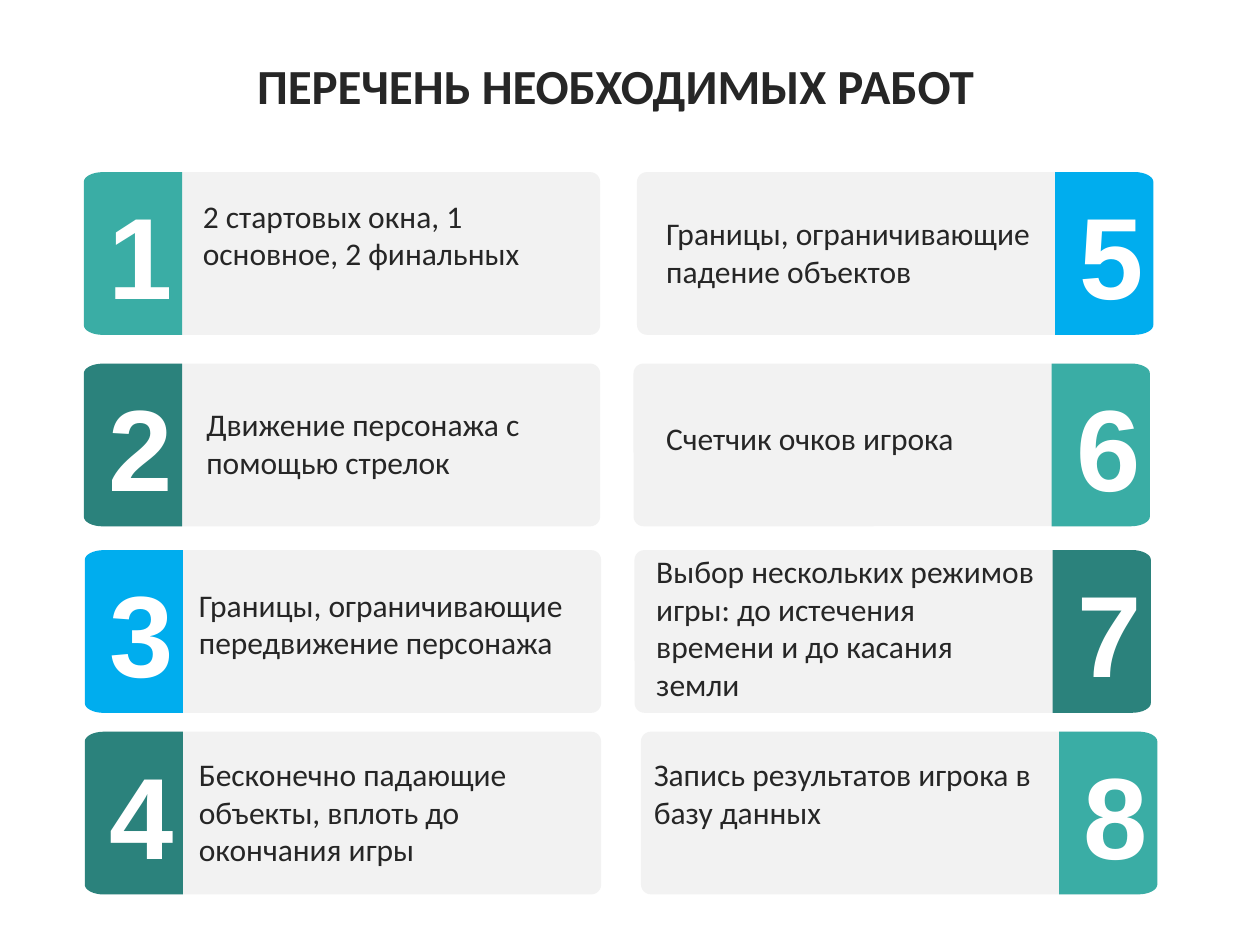
from dataclasses import dataclass
from math import cos, pi, sin

from lxml import etree
from pptx import Presentation
from pptx import util as u
from pptx.dml.color import RGBColor
from pptx.enum import shapes, text
from pptx.oxml import ns


@dataclass(frozen=True)
class Theme:
    teal: str = "3AADA5"
    dark_teal: str = "2B827C"
    blue: str = "00ADEE"
    card: str = "F2F2F2"
    ink: str = "262626"
    white: str = "FFFFFF"
    body_font: str = "Calibri"
    digit_font: str = "Arial"
    title_size: int = 28
    body_size: int = 18
    digit_size: int = 66


@dataclass(frozen=True)
class Task:
    """One numbered work item; lengths in centimetres."""
    number: int
    wording: str
    color: str
    tab_left: float
    wording_box: tuple[float, float, float, float]

    @property
    def on_left(self) -> bool:
        return self.number <= len(ROW_TOPS)

    @property
    def top(self) -> float:
        return ROW_TOPS[(self.number - 1) % len(ROW_TOPS)]


THEME = Theme()
ROW_TOPS = (3.47, 7.33, 11.09, 14.75)
ROW_HEIGHT, CARD_WIDTH, TAB_WIDTH = 3.28, 10.21, 1.98
CORNER_ACROSS, CORNER_ALONG = 0.2, 0.38

TASKS = (
    Task(1, "2 стартовых окна, 1 основное, 2 финальных", THEME.teal, 1.69, (3.84, 3.84, 7.9, 1.8)),
    Task(2, "Движение персонажа с помощью стрелок", THEME.dark_teal, 1.69, (3.91, 8.05, 7.9, 1.8)),
    Task(3, "Границы, ограничивающие передвижение персонажа", THEME.blue, 1.71,
         (3.76, 11.68, 7.9, 1.8)),
    Task(4, "Бесконечно падающие объекты, вплоть до окончания игры", THEME.dark_teal, 1.71,
         (3.76, 15.09, 7.9, 2.57)),
    Task(5, "Границы, ограничивающие падение объектов", THEME.blue, 21.27,
         (13.18, 4.19, 8.13, 1.8)),
    Task(6, "Счетчик очков игрока", THEME.teal, 21.2, (13.18, 8.33, 8.84, 1.02)),
    Task(7, "Выбор нескольких режимов игры: до истечения времени и до касания земли",
         THEME.dark_teal, 21.22, (12.98, 11, 8.13, 3.33)),
    Task(8, "Запись результатов игрока в базу данных", THEME.teal, 21.35,
         (12.93, 15.09, 8.38, 2.57)),
)


def paint(shape, color: str) -> None:
    shape.fill.solid()
    shape.fill.fore_color.rgb = RGBColor.from_string(color)
    shape.line.fill.background()
    shape.shadow.inherit = False


def add_wording(slide, wording: str, box: tuple[float, float, float, float], size: int,
                font: str, color: str, bold: bool = False, centered: bool = False):
    label = slide.shapes.add_textbox(*map(u.Cm, box))
    frame = label.text_frame
    frame.text = wording
    frame.word_wrap = True
    paragraph = frame.paragraphs[0]
    if centered:
        frame.vertical_anchor = text.MSO_ANCHOR.MIDDLE
        paragraph.alignment = text.PP_ALIGN.CENTER
    style = paragraph.runs[0].font
    style.size, style.name, style.bold = u.Pt(size), font, bold
    style.color.rgb = RGBColor.from_string(color)
    return frame


def turned_origin(left: float, top: float, width: float) -> tuple[float, float]:
    """Top left of an upright shape that covers the given area after a quarter turn."""
    shift = (width - ROW_HEIGHT) / 2
    return left + shift, top - shift


def add_card(slide, task: Task, turn: int) -> None:
    left = task.tab_left + (0.2 if task.on_left else -8.43)
    x, y = turned_origin(left, task.top, CARD_WIDTH)
    card = slide.shapes.add_shape(shapes.MSO_SHAPE.ROUNDED_RECTANGLE,
                                  u.Cm(x), u.Cm(y), u.Cm(ROW_HEIGHT), u.Cm(CARD_WIDTH))
    card.adjustments[0] = 0.061
    card.rotation = turn
    paint(card, THEME.card)


def add_tab(slide, task: Task, turn: int) -> None:
    # Upright outline: square foot, two elliptical corners on top
    arc = [(CORNER_ACROSS * (1 - cos(a)), CORNER_ALONG * (1 - sin(a)))
           for a in (step * pi / 16 for step in range(9))]
    outline = [(0, TAB_WIDTH), *arc,
               *((ROW_HEIGHT - x, y) for x, y in reversed(arc)), (ROW_HEIGHT, TAB_WIDTH)]
    points = [(u.Cm(x), u.Cm(y)) for x, y in outline]
    builder = slide.shapes.build_freeform(*points[0])
    builder.add_line_segments(points[1:], close=True)
    x, y = turned_origin(task.tab_left, task.top, TAB_WIDTH)
    tab = builder.convert_to_shape(u.Cm(x), u.Cm(y))
    tab.rotation = turn
    paint(tab, task.color)


def add_number(slide, task: Task) -> None:
    frame = add_wording(slide, str(task.number), (task.tab_left + 0.5, task.top + 0.88, 0.99, 1.52),
                        THEME.digit_size, THEME.digit_font, THEME.white, bold=True, centered=True)
    frame.margin_left = frame.margin_top = frame.margin_right = frame.margin_bottom = 0
    # Space before as a share of the line
    paragraph = frame.paragraphs[0]
    paragraph.space_before = u.Pt(0)
    before = paragraph._p.pPr.find(ns.qn("a:spcBef"))
    before.clear()
    etree.SubElement(before, ns.qn("a:spcPct")).set("val", "20000")


def add_task(slide, task: Task) -> None:
    turn = 270 if task.on_left else 90
    add_card(slide, task, turn)
    add_tab(slide, task, turn)
    add_number(slide, task)
    add_wording(slide, task.wording, task.wording_box,
                THEME.body_size, THEME.body_font, THEME.ink)


deck = Presentation()
deck.slide_width, deck.slide_height = u.Cm(25.4), u.Cm(19.05)
work_list = deck.slides.add_slide(deck.slide_layouts[6])

# Heading
add_wording(work_list, "ПЕРЕЧЕНЬ НЕОБХОДИМЫХ РАБОТ", (1.09, 0.74, 22.63, 1.93),
            THEME.title_size, THEME.body_font, THEME.ink, bold=True, centered=True)

# Numbered cards
for item in TASKS:
    add_task(work_list, item)

deck.save("out.pptx")
